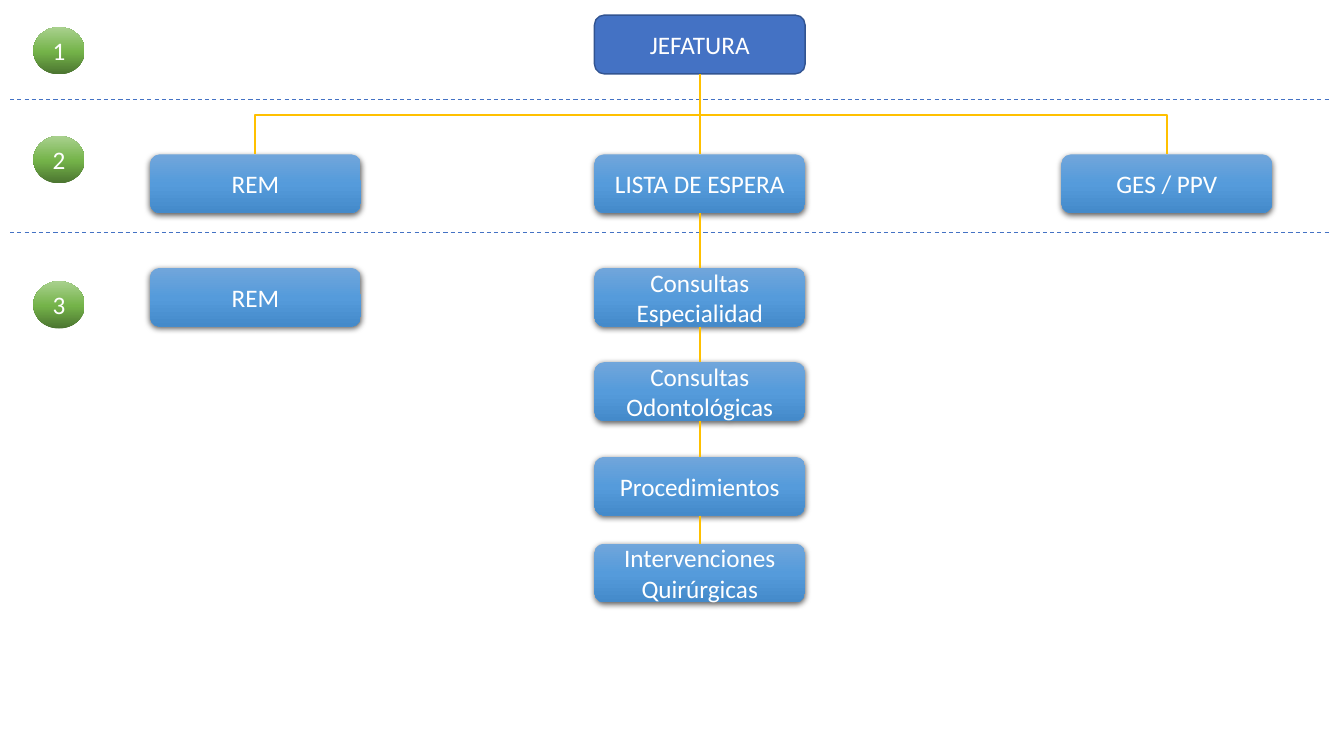
from copy import deepcopy
from itertools import pairwise
from lxml.etree import SubElement
from pptx import Presentation
from pptx.dml.color import RGBColor
from pptx.enum.dml import MSO_LINE
from pptx.enum.shapes import MSO_CONNECTOR, MSO_SHAPE
from pptx.enum.text import MSO_ANCHOR, PP_ALIGN
from pptx.oxml.ns import qn
from pptx.util import Pt

UNIT_W, UNIT_H = 150.5, 42
BADGE_W, BADGE_H = 36.7, 33.8
TOP, BOTTOM = 0, 2  # connection sites of a rounded rectangle
BLUE, GOLD, WHITE = "4472C4", "FFC000", "FFFFFF"
UNIT_GRADIENT = {"stops": [(0, "71A6DB"), (0.5, "559BDB"), (1, "448ACA")], "angle": 270}
BADGE_GRADIENT = {"stops": [(0, "4B7430"), (0.48, "74B349"), (1, "A9D18E")], "angle": 90}
LABEL_FONT = {"name": "Calibri", "size": Pt(18)}


def color(value):
    return RGBColor.from_string(value)


def apply(target, formats):
    for key, value in formats.items():
        setattr(target, key, value)


def add_label_shape(slide, preset, box, label):
    shape = slide.shapes.add_shape(preset, *map(Pt, box))
    shape.shadow.inherit = False
    shape.line.fill.background()
    apply(shape.text_frame, {"word_wrap": True, "vertical_anchor": MSO_ANCHOR.MIDDLE})
    paragraph = shape.text_frame.paragraphs[0]
    paragraph.text = label
    paragraph.alignment = PP_ALIGN.CENTER
    apply(paragraph.font, LABEL_FONT)
    paragraph.font.color.rgb = color(WHITE)
    return shape


def fill_gradient(shape, stops, angle):
    shape.fill.gradient()
    shape.fill.gradient_angle = angle
    stop_list = shape.element.spPr.find(".//" + qn("a:gsLst"))
    stop_list.append(deepcopy(stop_list[-1]))
    for stop, (position, value) in zip(shape.fill.gradient_stops, stops):
        stop.position = position
        stop.color.rgb = color(value)


def add_unit(slide, left, top, label):
    unit = add_label_shape(slide, MSO_SHAPE.ROUNDED_RECTANGLE,
                           (left, top, UNIT_W, UNIT_H), label)
    fill_gradient(unit, **UNIT_GRADIENT)
    effects = unit.element.spPr.find(qn("a:effectLst"))
    shadow = SubElement(effects, qn("a:outerShdw"), blurRad=str(Pt(4.5)),
                        dist=str(Pt(1.5)), dir="5400000", algn="ctr", rotWithShape="0")
    shade = SubElement(shadow, qn("a:srgbClr"), val="000000")
    SubElement(shade, qn("a:alpha"), val="63000")
    return unit


def add_line(slide, start, end, value, width, kind=MSO_CONNECTOR.STRAIGHT):
    line = slide.shapes.add_connector(kind, *map(Pt, (*start, *end)))
    line.line.color.rgb = color(value)
    line.line.width = Pt(width)
    SubElement(line.element.spPr, qn("a:effectLst"))
    return line


def link(slide, upper, lower):
    line = add_line(slide, (0, 0), (0, 0), GOLD, 1.5)
    line.begin_connect(upper, BOTTOM)
    line.end_connect(lower, TOP)


def add_branch(slide, start, end):
    branch = add_line(slide, start, end, GOLD, 1.5, MSO_CONNECTOR.ELBOW)
    branch.element.spPr.find(qn("a:prstGeom")).set("prst", "bentConnector2")


def add_levels(slide, left, top, width):
    """Numbered badges and the dashed lines between levels."""
    for offset in (71.3, 166.3):
        divider = add_line(slide, (left, top + offset), (left + width, top + offset),
                           BLUE, 0.75)
        divider.line.dash_style = MSO_LINE.DASH
    for number, offset in enumerate((19.4, 97.2, 200.9), 1):
        badge = add_label_shape(slide, MSO_SHAPE.OVAL,
                                (left + 16.6, top + offset, BADGE_W, BADGE_H), str(number))
        fill_gradient(badge, **BADGE_GRADIENT)


def add_hierarchy(slide, left, top):
    """Head office, its three areas and the units below them."""
    middle = left + 317.4
    areas_top, units_top, branch_top = top + 99.4, top + 180.5, top + 71.4

    # Head office
    head = add_label_shape(slide, MSO_SHAPE.ROUNDED_RECTANGLE,
                           (middle, top, UNIT_W, UNIT_H), "JEFATURA")
    head.fill.solid()
    head.fill.fore_color.rgb = color(BLUE)
    head.line.color.rgb = color("325491")
    head.line.width = Pt(1)

    # Areas
    rem = add_unit(slide, left, areas_top, "REM")
    waiting_list = add_unit(slide, middle, areas_top, "LISTA DE ESPERA")
    ges = add_unit(slide, left + 651, areas_top, "GES / PPV")
    for area in (rem, ges):
        area_center = area.left.pt + UNIT_W / 2
        add_branch(slide, (middle + UNIT_W / 2, branch_top), (area_center, areas_top))

    # Units
    add_unit(slide, left, units_top, "REM")
    waiting_units = [
        add_unit(slide, middle, units_top + offset, label)
        for offset, label in (
            (0, "Consultas Especialidad"),
            (67.4, "Consultas Odontológicas"),
            (135, "Procedimientos"),
            (197, "Intervenciones Quirúrgicas"),
        )
    ]
    for upper, lower in pairwise([head, waiting_list, *waiting_units]):
        link(slide, upper, lower)


presentation = Presentation()
apply(presentation, {"slide_width": Pt(960), "slide_height": Pt(540)})
org_chart = presentation.slides.add_slide(presentation.slide_layouts[6])
add_levels(org_chart, 7.2, 0, 942.5)
add_hierarchy(org_chart, 107.2, 10.8)
presentation.save("out.pptx")
